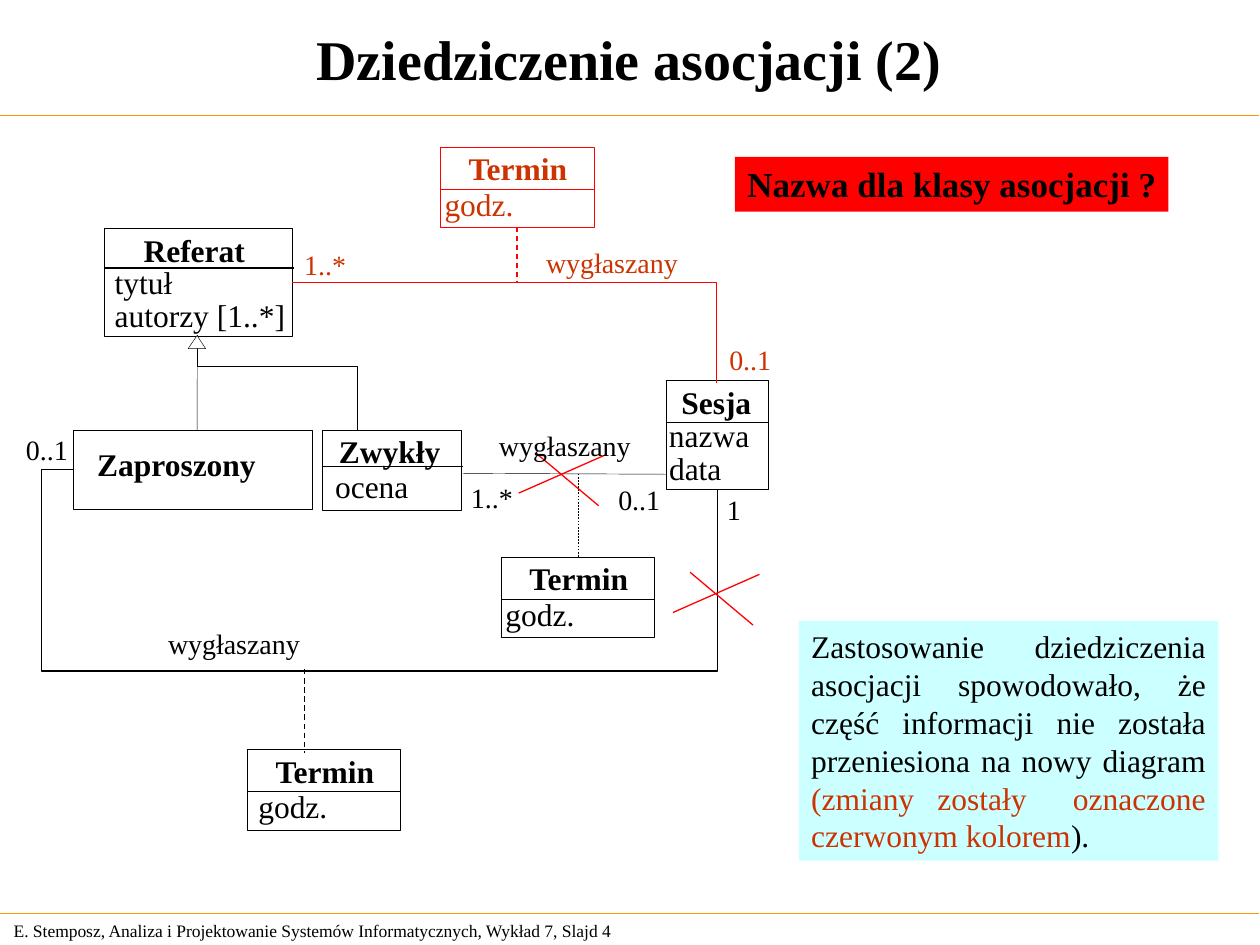
from lxml import etree
from pptx import Presentation
from pptx.dml.color import RGBColor
from pptx.enum.dml import MSO_LINE
from pptx.enum.shapes import MSO_CONNECTOR, MSO_SHAPE
from pptx.enum.text import MSO_ANCHOR, MSO_AUTO_SIZE, PP_ALIGN
from pptx.oxml.ns import qn
from pptx.util import Pt

STRAIGHT, ELBOW = MSO_CONNECTOR.STRAIGHT, MSO_CONNECTOR.ELBOW
RECT = MSO_SHAPE.RECTANGLE
DASH = MSO_LINE.DASH
TOP, MIDDLE = MSO_ANCHOR.TOP, MSO_ANCHOR.MIDDLE
LEFT, CENTER, JUSTIFY = PP_ALIGN.LEFT, PP_ALIGN.CENTER, PP_ALIGN.JUSTIFY
NO_FIT = MSO_AUTO_SIZE.NONE

BLACK, WHITE, RED, RUST = "000000", "FFFFFF", "FF0000", "CC3300"
ORANGE, CYAN = "FF9900", "CCFFFF"
FONT = "Times New Roman"
HAIR, THIN = 0.25, 0.75
PAD = (7.2, 3.6, 7.2)  # left, top and bottom, right
LABEL_PAD = (7.2, 3.6, 0)
NO_PAD = (0, 0, 0)
SLACK = 6  # spare width that keeps a label on one line
ATTR_STEP = 18.8


def rgb(value):
    return RGBColor.from_string(value)


def pts(*values):
    return [Pt(v) for v in values]


def fill_text(sp, runs, size, bold=False, align=LEFT, anchor=TOP, pad=PAD):
    """Write one paragraph of (text, colour) runs into a shape."""
    tf = sp.text_frame
    left, v, right = pts(*pad)
    frame = {"margin_left": left, "margin_right": right, "margin_top": v,
             "margin_bottom": v, "word_wrap": True, "vertical_anchor": anchor,
             "auto_size": NO_FIT}
    for name, value in frame.items():
        setattr(tf, name, value)
    p = tf.paragraphs[0]
    p.alignment = align
    for text, color in runs:
        r = p.add_run()
        r.text = text
        for name, value in {"name": FONT, "size": Pt(size), "bold": bold}.items():
            setattr(r.font, name, value)
        r.font.color.rgb = rgb(color)


def add_text(s, box, text, size, color=BLACK, **fmt):
    fill_text(s.shapes.add_textbox(*pts(*box)), [(text, color)], size, **fmt)


def add_label(s, x, y, w, text, size, color=BLACK, bold=False):
    """One line of text without insets."""
    add_text(s, (x, y, w + SLACK, size * 1.2), text, size, color, bold=bold, pad=NO_PAD)


def style(sp, fill=None, line=None, width=HAIR):
    sp.shadow.inherit = False
    if fill:
        sp.fill.solid()
        sp.fill.fore_color.rgb = rgb(fill)
    else:
        sp.fill.background()
    if line:
        sp.line.color.rgb = rgb(line)
        sp.line.width = Pt(width)
    else:
        sp.line.fill.background()


def add_rect(s, box, **look):
    sp = s.shapes.add_shape(RECT, *pts(*box))
    style(sp, **look)
    return sp


def add_line(s, start, end, color=BLACK, width=HAIR, dash=None, kind=STRAIGHT):
    sp = s.shapes.add_connector(kind, *pts(*start, *end))
    sp.line.color.rgb = rgb(color)
    sp.line.width = Pt(width)
    if dash:
        sp.line.dash_style = dash
    etree.SubElement(sp._element.spPr, qn("a:effectLst"))
    return sp


def add_elbow(s, start, end, preset, color, adjust=(), turned=False):
    """Right-angled connector; adjust holds bend positions as fractions."""
    sp = add_line(s, start, end, color, THIN, kind=ELBOW)
    geom = sp._element.spPr.find(qn("a:prstGeom"))
    geom.set("prst", preset)
    guides = geom.find(qn("a:avLst"))
    if guides is None:
        guides = etree.SubElement(geom, qn("a:avLst"))
    for i, value in enumerate(adjust, 1):
        etree.SubElement(guides, qn("a:gd"), name=f"adj{i}",
                         fmla=f"val {round(value * 100000)}")
    if turned:
        xfrm = sp._element.spPr.find(qn("a:xfrm"))
        for name, value in {"rot": "10800000", "flipH": "1", "flipV": "1"}.items():
            xfrm.set(name, value)


def add_path(s, points, close=False, fill=None):
    start, *rest = [pts(*xy) for xy in points]
    builder = s.shapes.build_freeform(*start)
    builder.add_line_segments(rest, close=close)
    style(builder.convert_to_shape(), fill=fill, line=BLACK)


def add_class(s, box, name, name_at, name_w, attrs=(), attr_at=(0, 0), divider=None,
              extra=0, rule=HAIR, fill=WHITE, line=BLACK, color=BLACK):
    """UML class; name_at, attr_at and divider are offsets from its corner."""
    x, y, w, _ = box
    add_rect(s, box, fill=fill, line=line)
    if divider:
        add_line(s, (x, y + divider), (x + w + extra, y + divider), line, rule)
    add_label(s, x + name_at[0], y + name_at[1], name_w, name, 18, color, bold=True)
    for i, (text, text_w) in enumerate(attrs):
        add_label(s, x + attr_at[0], y + attr_at[1] + i * ATTR_STEP, text_w,
                  text, 18, color)


def add_termin(s, x, y, attr_dx=2.2, **look):
    add_class(s, (x, y, 87.5, 46), "Termin", (16, 1.2), 58.3, [("godz.", 39.6)],
              (attr_dx, 21.6), divider=24, **look)


def add_cross(s, x, y):
    add_line(s, (x + 9.7, y), (x + 45.7, y + 30.2), RED, THIN)
    add_line(s, (x, y + 23), (x + 49.4, y + 1.2), RED, THIN)


def main():
    prs = Presentation()
    prs.slide_width, prs.slide_height = pts(720, 540)
    s = prs.slides.add_slide(prs.slide_layouts[6])

    # Title, rules and footer
    add_text(s, (0.7, 522, 378, 19.4),
             "E. Stemposz, Analiza i Projektowanie Systemów Informatycznych, "
             "Wykład 7, Slajd 4", 10, anchor=MIDDLE)
    for y in (66, 522):
        add_line(s, (-0.7, y), (719.3, y), ORANGE, THIN)
    add_text(s, (0, 0, 719.3, 66.2), "Dziedziczenie asocjacji (2)", 32, bold=True,
             align=CENTER, anchor=MIDDLE)

    # Classes
    add_class(s, (59.8, 130.5, 107.3, 61.8), "Referat", (22.3, 1.3), 58.3,
              [("tytuł", 33.1), ("autorzy [1..*]", 97.2)], (5.7, 20), 22.6,
              extra=0.7, rule=THIN)
    add_class(s, (41.8, 245.8, 136.4, 45.4), "Zaproszony", (13.7, 8.4), 90.7)
    add_class(s, (183.9, 245.8, 79.9, 46), "Zwykły", (9.8, 1.2), 58.3,
              [("ocena", 41.8)], (7.6, 21.3), 20.6, extra=0.8)
    add_class(s, (380.9, 217.4, 58.3, 62), "Sesja", (8.4, 1.5), 40.3,
              [("nazwa", 46.1), ("data", 30.2)], (1.4, 20.2), 23.8)
    add_termin(s, 286.6, 318.2)
    add_termin(s, 141.5, 428.4, attr_dx=6.1)

    # Inheritance tree
    add_line(s, (112.6, 245.8), (112.8, 191.7))
    add_path(s, [(204.2, 245.8), (204.2, 209.3), (112.6, 209.3), (112.6, 191.7)])
    add_path(s, [(112.6, 191.7), (117.5, 199.2), (107.5, 199.2)], close=True, fill=WHITE)

    # Associations
    add_line(s, (264.8, 270.5), (380.9, 271))
    add_line(s, (330.6, 270.7), (330.6, 318.2), dash=DASH)
    add_elbow(s, (41.8, 268.5), (409.9, 279.5), "bentConnector4", BLACK,
              (-0.049, 10.45), turned=True)
    add_line(s, (174, 382.5), (174, 430.4), width=THIN, dash=DASH)

    # Changed parts
    add_elbow(s, (167.1, 161.3), (409.3, 218.7), "bentConnector2", RED)
    add_termin(s, 251.8, 84, fill=None, line=RED, color=RUST)
    add_line(s, (295.4, 129.5), (295.4, 161.8), RED, THIN, DASH)
    for corner in ((384.6, 327), (296.4, 258.8)):
        add_cross(s, *corner)

    # Association names and multiplicities
    for text, x, y, w, color in (
        ("wygłaszany", 89, 354.4, 89.3, BLACK),
        ("wygłaszany", 305, 136.8, 89.3, RUST),
        ("1", 408.3, 277.9, 22.3, BLACK),
        ("0..1", 7.7, 243.4, 38.2, BLACK),
        ("0..1", 409.7, 192.4, 38.2, RUST),
        ("1..*", 166.8, 138.2, 38.2, RUST),
    ):
        add_text(s, (x, y, w, 26.6), text, 16, color, pad=LABEL_PAD)
    for text, x, y, w in (
        ("wygłaszany", 285.1, 244.8, 75.6),
        ("1..*", 269.1, 274.3, 23.8),
        ("0..1", 353.3, 275.8, 23.8),
    ):
        add_label(s, x, y, w, text, 16)

    # Notes
    sp = add_rect(s, (456.5, 355, 239.8, 136.8), fill=CYAN)
    fill_text(sp, [
        ("Zastosowanie dziedziczenia asocjacji spowodowało, że część informacji "
         "nie została przeniesiona na nowy diagram ", BLACK),
        ("(zmiany zostały  oznaczone czerwonym kolorem", RUST),
        (").", BLACK)], 18, align=JUSTIFY)
    sp = add_rect(s, (420, 89.6, 247.7, 31.4), fill=RED)
    fill_text(sp, [("Nazwa dla klasy asocjacji ?", BLACK)], 20, bold=True, pad=LABEL_PAD)

    prs.save("out.pptx")


if __name__ == "__main__":
    main()
